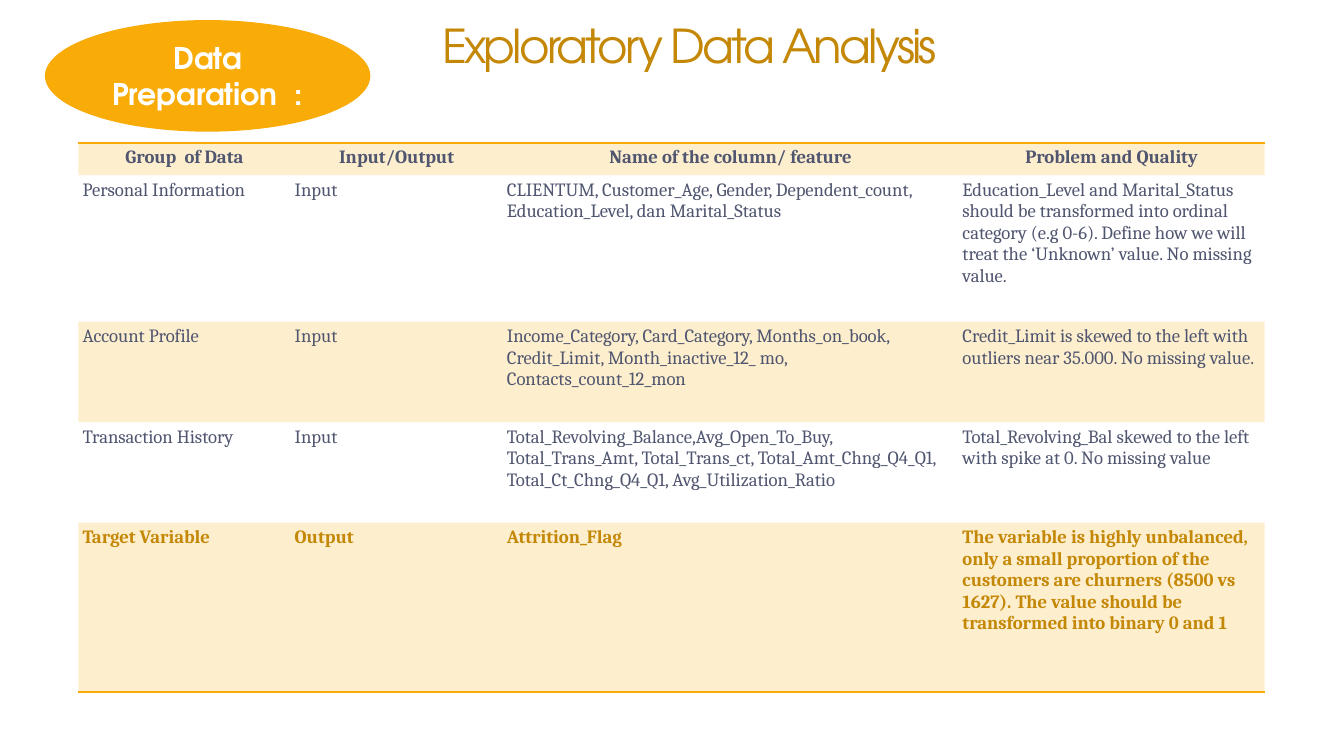
import dataclasses
import typing

import lxml.etree
import pptx
import pptx.dml.color
import pptx.enum.shapes
import pptx.enum.text
import pptx.oxml.ns
import pptx.util

Cm = pptx.util.Cm
Pt = pptx.util.Pt
Align = pptx.enum.text.PP_ALIGN
Anchor = pptx.enum.text.MSO_ANCHOR
qn = pptx.oxml.ns.qn


@dataclasses.dataclass(frozen=True)
class Theme:
    accent: str = "F9AC08"
    strong: str = "C48706"
    body: str = "505670"
    white: str = "FFFFFF"
    display_font: str = "TeX Gyre Adventor"
    table_font: str = "Cambria"
    title_size: float = 25
    badge_size: float = 16
    table_size: float = 10
    band_alpha: int = 20000
    rule_width: float = 1
    plain_table_style: str = "{2D5ABB26-0587-4C30-8999-92F81FD0307C}"


@dataclasses.dataclass(frozen=True)
class FeatureRow:
    height: float
    texts: tuple[str, str, str, str]
    color: str
    bold: bool = False
    align: Align = Align.LEFT
    hanging_columns: int = 0
    banded: bool = False
    rule: typing.Optional[str] = None


THEME = Theme()
COLUMN_WIDTHS = (4.01, 4.01, 8.61, 5.79)
CELL_MARGIN = Cm(0.08)
HANGING = Cm(0.3)

ROWS = (
    FeatureRow(
        0.61,
        ("Group  of Data", "Input/Output", "Name of the column/ feature", "Problem and Quality"),
        THEME.body, bold=True, align=Align.CENTER, hanging_columns=4, banded=True, rule="a:lnT",
    ),
    FeatureRow(
        2.77,
        (
            "Personal Information",
            "Input",
            "CLIENTUM, Customer_Age, Gender, Dependent_count, Education_Level, dan Marital_Status",
            "Education_Level and Marital_Status should be transformed into ordinal category "
            "(e.g 0-6). Define how we will treat the ‘Unknown’ value. No missing value.",
        ),
        THEME.body,
    ),
    FeatureRow(
        1.9,
        (
            "Account Profile",
            "Input",
            "Income_Category, Card_Category, Months_on_book, Credit_Limit, "
            "Month_inactive_12_ mo, Contacts_count_12_mon",
            "Credit_Limit is skewed to the left with outliers near 35.000. No missing value.",
        ),
        THEME.body, hanging_columns=2, banded=True,
    ),
    FeatureRow(
        1.9,
        (
            "Transaction History",
            "Input",
            "Total_Revolving_Balance,Avg_Open_To_Buy, Total_Trans_Amt, Total_Trans_ct, "
            "Total_Amt_Chng_Q4_Q1, Total_Ct_Chng_Q4_Q1, Avg_Utilization_Ratio",
            "Total_Revolving_Bal skewed to the left with spike at 0. No missing value",
        ),
        THEME.body, hanging_columns=2,
    ),
    FeatureRow(
        3.2,
        (
            "Target Variable",
            "Output",
            "Attrition_Flag",
            "The variable is highly unbalanced, only a small proportion of the customers are "
            "churners (8500 vs 1627). The value should be transformed into binary 0 and 1",
        ),
        THEME.strong, bold=True, hanging_columns=2, banded=True, rule="a:lnB",
    ),
)


def rgb(color: str) -> pptx.dml.color.RGBColor:
    return pptx.dml.color.RGBColor.from_string(color)


def write(frame, text: str, font: str, size: float, color: str,
          bold: bool = False, align: Align = Align.CENTER):
    frame.word_wrap = True
    para = frame.paragraphs[0]
    para.add_run().text = text
    para.alignment = align
    para.font.name = font
    para.font.size = Pt(size)
    para.font.bold = bold
    para.font.color.rgb = rgb(color)
    return para


def add_rule(cell, side: str) -> None:
    line = lxml.etree.Element(qn(side), w=str(Pt(THEME.rule_width)))
    fill = lxml.etree.SubElement(line, qn("a:solidFill"))
    lxml.etree.SubElement(fill, qn("a:srgbClr"), val=THEME.accent)
    cell._tc.get_or_add_tcPr().insert(0, line)


def fill_band(cell) -> None:
    cell.fill.solid()
    cell.fill.fore_color.rgb = rgb(THEME.accent)
    color = cell._tc.tcPr.find(qn("a:solidFill")).find(qn("a:srgbClr"))
    lxml.etree.SubElement(color, qn("a:alpha"), val=str(THEME.band_alpha))


def draw_cell(cell, row: FeatureRow, column: int) -> None:
    cell.margin_left = cell.margin_right = CELL_MARGIN
    cell.margin_top = cell.margin_bottom = CELL_MARGIN
    para = write(cell.text_frame, row.texts[column], THEME.table_font,
                 THEME.table_size, row.color, row.bold, row.align)
    if column < row.hanging_columns:
        properties = para._p.get_or_add_pPr()
        properties.set("marL", str(HANGING))
        properties.set("indent", str(-HANGING))
    if row.banded:
        fill_band(cell)
    else:
        cell.fill.background()
    if row.rule:
        add_rule(cell, row.rule)


def draw_table(page) -> None:
    frame = page.shapes.add_table(
        len(ROWS), len(COLUMN_WIDTHS), Cm(1.48), Cm(2.7),
        Cm(sum(COLUMN_WIDTHS)), Cm(sum(row.height for row in ROWS)),
    )
    table = frame.table
    table.horz_banding = False
    table._tbl.tblPr.find(qn("a:tableStyleId")).text = THEME.plain_table_style
    for column, width in zip(table.columns, COLUMN_WIDTHS):
        column.width = Cm(width)
    for index, row in enumerate(ROWS):
        table.rows[index].height = Cm(row.height)
        for column in range(len(COLUMN_WIDTHS)):
            draw_cell(table.cell(index, column), row, column)


def draw_title(page) -> None:
    box = page.shapes.add_textbox(Cm(3.61), Cm(0.15), Cm(18.85), Cm(1.47))
    frame = box.text_frame
    frame.vertical_anchor = Anchor.BOTTOM
    frame.margin_left = frame.margin_right = Cm(0.25)
    frame.margin_top = frame.margin_bottom = Cm(0.25)
    para = write(frame, "Exploratory Data Analysis", THEME.display_font,
                 THEME.title_size, THEME.strong)
    para.runs[0]._r.get_or_add_rPr().set("spc", "-150")


def draw_badge(page) -> None:
    badge = page.shapes.add_shape(
        pptx.enum.shapes.MSO_SHAPE.OVAL, Cm(0.85), Cm(0.38), Cm(6.15), Cm(2.11))
    badge.shadow.inherit = False
    badge.fill.solid()
    badge.fill.fore_color.rgb = rgb(THEME.accent)
    badge.line.fill.background()
    badge.text_frame.vertical_anchor = Anchor.MIDDLE
    write(badge.text_frame, "Data Preparation  :", THEME.display_font,
          THEME.badge_size, THEME.white, bold=True)


def main() -> None:
    deck = pptx.Presentation()
    deck.slide_width, deck.slide_height = Cm(25.4), Cm(14.29)
    page = deck.slides.add_slide(deck.slide_layouts[6])
    draw_table(page)
    draw_title(page)
    draw_badge(page)
    deck.save("out.pptx")


if __name__ == "__main__":
    main()
